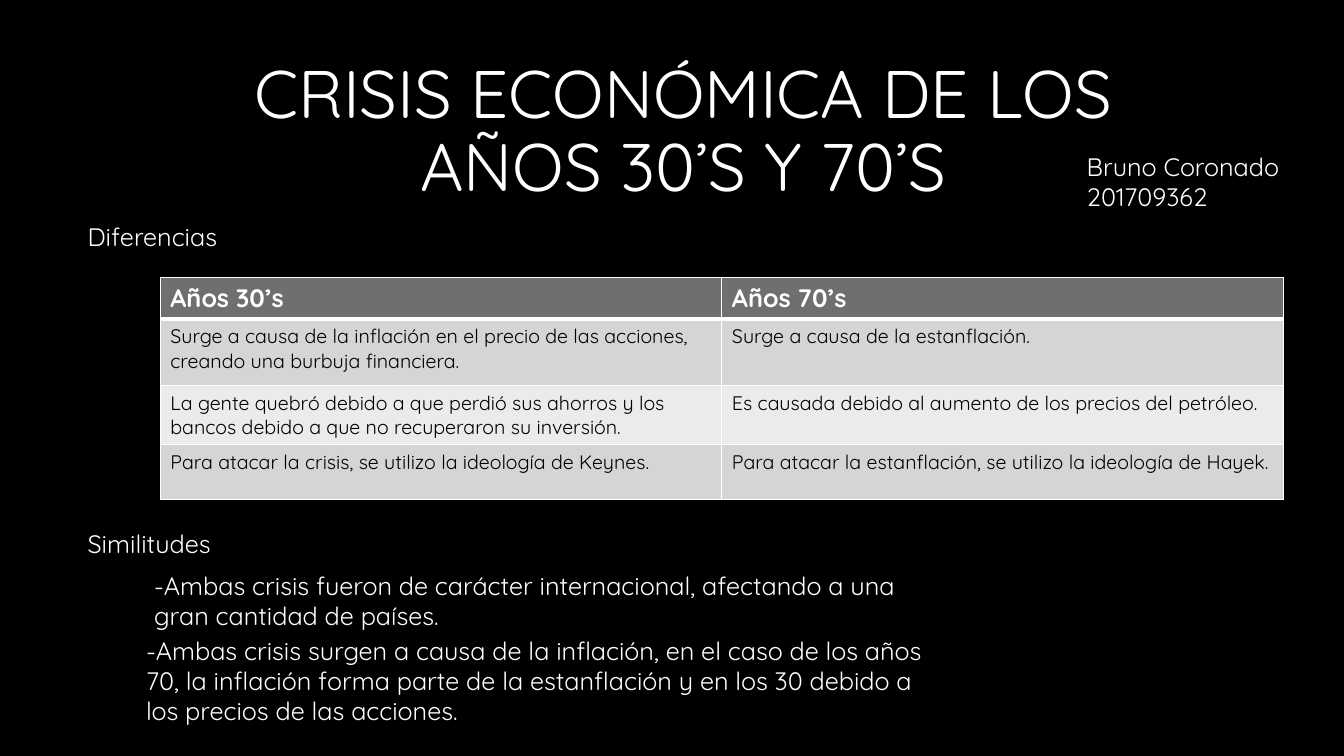
from pptx import Presentation
from pptx import util as u
from pptx.dml import color
from pptx.enum import text
from pptx.oxml import xmlchemy, ns

COLORS = {
    "background": "000000",
    "light": "FFFFFF",
    "dark": "000000",
    "header": "6F6F6F",
    "odd": "D5D5D5",
    "even": "EBEBEB",
}


class CrisisSlide:
    font = "Quicksand"
    body_size = 18

    def __init__(self, deck):
        self.deck = deck
        self.slide = deck.slides.add_slide(deck.slide_layouts[5])
        backdrop = self.slide.background.fill
        backdrop.solid()
        backdrop.fore_color.rgb = self.color("background")

    def color(self, name):
        return color.RGBColor.from_string(COLORS[name])

    def across(self, percent):
        return round(self.deck.slide_width * percent / 100)

    def down(self, percent):
        return round(self.deck.slide_height * percent / 100)

    def area(self, left, top, width, height):
        return self.across(left), self.down(top), self.across(width), self.down(height)

    def set_wording(self, frame, wording, size, ink="light", bold=False):
        frame.text = wording
        frame.word_wrap = True
        for paragraph in frame.paragraphs:
            font = paragraph.font
            font.name, font.size, font.bold = self.font, u.Pt(size), bold
            font.color.rgb = self.color(ink)

    def title(self, wording, area):
        heading = self.slide.shapes.title
        heading.left, heading.top, heading.width, heading.height = self.area(*area)
        frame = heading.text_frame
        self.set_wording(frame, wording, 48)
        frame.auto_size = text.MSO_AUTO_SIZE.NONE
        frame.vertical_anchor = text.MSO_ANCHOR.BOTTOM
        frame.paragraphs[0].alignment = text.PP_ALIGN.CENTER
        frame.paragraphs[0].line_spacing = 0.9

    def note(self, wording, area):
        frame = self.slide.shapes.add_textbox(*self.area(*area)).text_frame
        self.set_wording(frame, wording, self.body_size)

    def border(self, cell, side, points):
        properties = cell._tc.get_or_add_tcPr()
        line = xmlchemy.OxmlElement(f"a:{side}")
        line.set("w", str(u.Pt(points)))
        fill = xmlchemy.OxmlElement("a:solidFill")
        shade = xmlchemy.OxmlElement("a:srgbClr")
        shade.set("val", COLORS["light"])
        fill.append(shade)
        line.append(fill)
        properties.find(ns.qn("a:solidFill")).addprevious(line)

    def comparison(self, rows, heights, left, top, width):
        area = self.area(left, top, width, sum(heights))
        table = self.slide.shapes.add_table(len(rows), len(rows[0]), *area).table
        for index, (wordings, height) in enumerate(zip(rows, heights)):
            table.rows[index].height = self.down(height)
            header = index == 0
            shade = "header" if header else "odd" if index % 2 else "even"
            for cell, wording in zip(table.rows[index].cells, wordings):
                cell.fill.solid()
                cell.fill.fore_color.rgb = self.color(shade)
                size = self.body_size if header else 14
                self.set_wording(cell.text_frame, wording, size, "light" if header else "dark", header)
                for side in ("lnL", "lnR", "lnT", "lnB"):
                    thick = (header and side == "lnB") or (index == 1 and side == "lnT")
                    self.border(cell, side, 3 if thick else 1)


def main():
    deck = Presentation()
    deck.slide_width, deck.slide_height = u.Inches(13.33), u.Inches(7.5)
    crisis = CrisisSlide(deck)
    crisis.title("CRISIS ECONÓMICA DE LOS AÑOS 30’S Y 70’S", (15.23, 4.8, 71.19, 23.07))
    differences = [
        ("Años 30’s", "Años 70’s"),
        (
            "Surge a causa de la inflación en el precio de las acciones, creando una burbuja financiera.",
            "Surge a causa de la estanflación.",
        ),
        (
            "La gente quebró debido a que perdió sus ahorros y los bancos debido a que no recuperaron su inversión.",
            "Es causada debido al aumento de los precios del petróleo.",
        ),
        (
            "Para atacar la crisis, se utilizo la ideología de Keynes.",
            "Para atacar la estanflación, se utilizo la ideología de Hayek.",
        ),
    ]
    crisis.comparison(differences, (5.4, 8.8, 7.8, 7.2), 11.93, 36.7, 83.57)
    notes = [
        ("Diferencias", (5.78, 28.67, 12.3, 5.33)),
        ("Similitudes", (5.78, 69.2, 12.3, 5.33)),
        (
            "-Ambas crisis fueron de carácter internacional, afectando a una gran cantidad de países.",
            (10.73, 74.8, 60.24, 9.47),
        ),
        (
            "-Ambas crisis surgen a causa de la inflación, en el caso de los años 70, la inflación forma parte "
            "de la estanflación y en los 30 debido a los precios de las acciones.",
            (10.13, 83.33, 60.24, 13.47),
        ),
        ("Bruno Coronado\n201709362", (80.12, 19.33, 19.88, 9.47)),
    ]
    for wording, area in notes:
        crisis.note(wording, area)
    deck.save("out.pptx")


if __name__ == "__main__":
    main()
